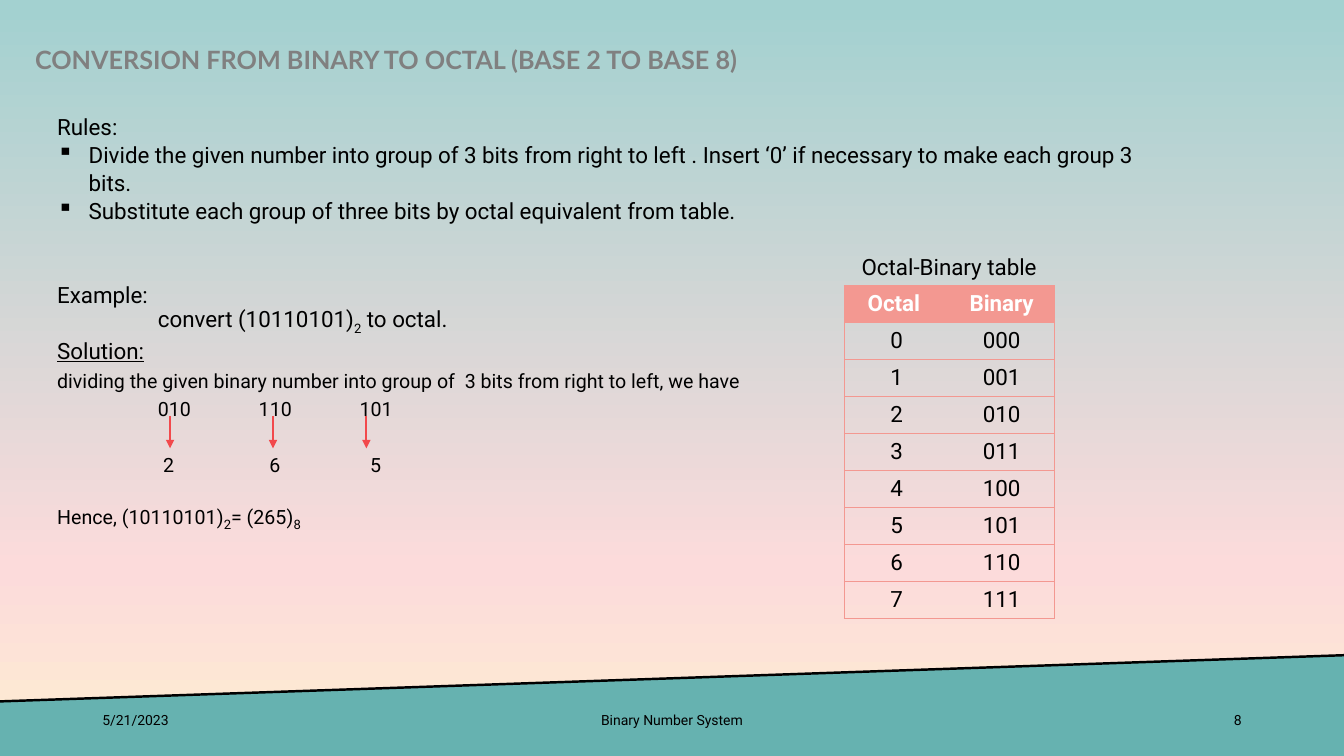
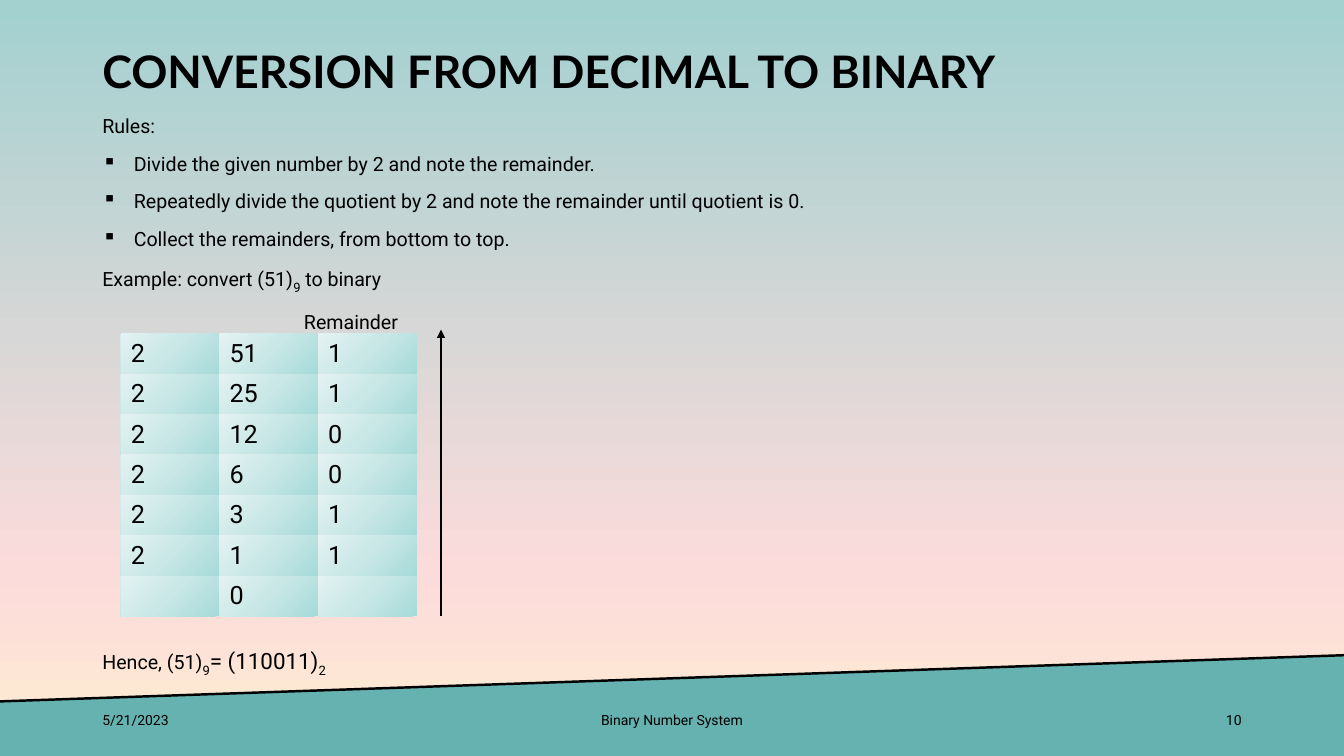
from pptx import Presentation
from pptx.dml.color import RGBColor
from pptx.enum.shapes import MSO_CONNECTOR
from pptx.enum.text import MSO_ANCHOR, PP_ALIGN
from pptx.oxml.ns import qn
from pptx.util import Pt
from lxml.etree import SubElement
from copy import deepcopy

PX = 9525  # EMU per px, 96 px to the inch
WIDTH, HEIGHT = 1280, 720

BLACK = RGBColor(0x00, 0x00, 0x00)
WHITE = RGBColor(0xFF, 0xFF, 0xFF)
GRAY = RGBColor(0x80, 0x80, 0x80)
TEAL = RGBColor(0x66, 0xB2, 0xB0)
RED = RGBColor(0xF2, 0x49, 0x4C)
CORAL = RGBColor(0xF3, 0x98, 0x91)
SKY = [(0.01, RGBColor(0xA3, 0xD1, 0xD0)),
       (0.75, RGBColor(0xFC, 0xDB, 0xDB)),
       (1, RGBColor(0xFE, 0xEE, 0xD1))]
MINT = [(0, RGBColor(0xA5, 0xDA, 0xD9)),
        (0.5, RGBColor(0xC8, 0xE7, 0xE6)),
        (1, RGBColor(0xE4, 0xF2, 0xF2))]

HEADING_FONT, BODY_FONT = "Lato", "Roboto"
INDENT = 30
NO_STYLE_TABLE = "{2D5ABB26-0587-4C30-8999-92F81FD0307C}"


def px(*lengths):
    return [length * PX for length in lengths]


def apply(target, values):
    for name, value in values.items():
        setattr(target, name, value)


def sub(digit):
    """A subscript run."""
    return digit, {"size": Pt(16), "baseline": -25000}


def fill_gradient(fill, stops, angle):
    fill.gradient()
    fill.gradient_angle = angle
    first = fill.gradient_stops[0]._gs
    for _ in stops[2:]:
        first.addnext(deepcopy(first))
    for stop, (position, color) in zip(fill.gradient_stops, stops):
        stop.position = position
        stop.color.rgb = color


def draw_borders(cell, sides, color):
    properties = cell._tc.get_or_add_tcPr()
    for side in sides:
        border = SubElement(properties, qn(f"a:ln{side}"), w=str(Pt(0.5)))
        solid = SubElement(border, qn("a:solidFill"))
        SubElement(solid, qn("a:srgbClr"), val=str(color))


class Deck:
    """Holds the shared style and the slide being built."""

    def __init__(self):
        self.presentation = Presentation()
        self.presentation.slide_width, self.presentation.slide_height = px(WIDTH, HEIGHT)
        self.slide = None

    def new_slide(self, number):
        self.slide = self.presentation.slides.add_slide(self.presentation.slide_layouts[6])
        fill_gradient(self.slide.background.fill, SKY, 270)
        self.band()
        footers = [(88, 288, "5/21/2023", PP_ALIGN.LEFT),
                   (424, 432, "Binary Number System", PP_ALIGN.CENTER),
                   (904, 288, str(number), PP_ALIGN.RIGHT)]
        for left, width, words, alignment in footers:
            self.label((left, 667, width, 38), [words], 10, alignment=alignment)

    def band(self):
        left_edge, right_edge = (0, 668), (WIDTH, 624)
        builder = self.slide.shapes.build_freeform(*px(*left_edge), scale=1.0)
        corners = [right_edge, (WIDTH, HEIGHT), (0, HEIGHT)]
        builder.add_line_segments([px(*corner) for corner in corners], close=True)
        band = builder.convert_to_shape()
        band.shadow.inherit = False
        band.fill.solid()
        band.fill.fore_color.rgb = TEAL
        band.line.fill.background()
        self.line(right_edge, left_edge, BLACK, 1.75)

    def line(self, start, end, color, weight, arrow=False):
        line = self.slide.shapes.add_connector(MSO_CONNECTOR.STRAIGHT, *px(*start, *end))
        line.line.color.rgb = color
        line.line.width = Pt(weight)
        if arrow:
            SubElement(line.line._get_or_add_ln(), qn("a:tailEnd"), type="triangle")
        SubElement(line._element.spPr, qn("a:effectLst"))

    def paragraph(self, paragraph, runs, font, bullet=False, tabs=(), **layout):
        """Fill a paragraph; a run is a string or a (string, font changes) pair."""
        apply(paragraph, layout)
        properties = paragraph._p.get_or_add_pPr()
        if bullet:
            properties.set("marL", str(INDENT * PX))
            properties.set("indent", str(-INDENT * PX))
            SubElement(properties, qn("a:buChar"), char="▪")
        if tabs:
            stops = SubElement(properties, qn("a:tabLst"))
            for tab in tabs:
                SubElement(stops, qn("a:tab"), pos=str(tab * PX), algn="l")
        for piece in runs:
            words, changes = (piece, {}) if isinstance(piece, str) else piece
            values = {"name": BODY_FONT, "color": BLACK, **font, **changes}
            color, baseline = values.pop("color"), values.pop("baseline", None)
            run = paragraph.add_run()
            run.text = words
            run.font.color.rgb = color
            apply(run.font, values)
            if baseline:
                run._r.get_or_add_rPr().set("baseline", str(baseline))

    def text(self, box, paragraphs, anchor=MSO_ANCHOR.TOP, **shared):
        """Add a text box; each paragraph is (runs, size, options)."""
        frame = self.slide.shapes.add_textbox(*px(*box)).text_frame
        apply(frame, {"word_wrap": True, "vertical_anchor": anchor})
        for index, (runs, size, options) in enumerate(paragraphs):
            paragraph = frame.add_paragraph() if index else frame.paragraphs[0]
            values = {**shared, **options}
            font = {"size": Pt(size), **values.pop("font", {})}
            self.paragraph(paragraph, runs, font, **values)

    def label(self, box, runs, size, **options):
        self.text(box, [(runs, size, options)], MSO_ANCHOR.MIDDLE)

    def title(self, box, words, size, color, line_spacing):
        font = {"name": HEADING_FONT, "bold": True, "color": color}
        self.label(box, [words], size, font=font, line_spacing=line_spacing)

    def table(self, corner, column_width, row_height, rows, size, style_cell,
              alignment=PP_ALIGN.LEFT):
        """Add a table; style_cell(cell, row, column) returns font changes."""
        shape = (len(rows), len(rows[0]))
        extent = (column_width * shape[1], row_height * shape[0])
        table = self.slide.shapes.add_table(*shape, *px(*corner, *extent)).table
        apply(table, {"first_row": False, "horz_banding": False})
        table._tbl.tblPr.find(qn("a:tableStyleId")).text = NO_STYLE_TABLE
        for row, entries in enumerate(rows):
            for column, entry in enumerate(entries):
                cell = table.cell(row, column)
                font = {"size": Pt(size), **style_cell(cell, row, column)}
                self.paragraph(cell.text_frame.paragraphs[0], [entry] if entry else [],
                               font, alignment=alignment)


def style_octal_cell(cell, row, column):
    draw_borders(cell, ("R" if column else "L") + "TB", CORAL)
    if row:
        cell.fill.background()
        return {}
    cell.fill.solid()
    cell.fill.fore_color.rgb = CORAL
    return {"bold": True, "color": WHITE}


def style_division_cell(cell, row, column):
    fill_gradient(cell.fill, MINT, 135)
    return {}


def binary_to_octal(deck):
    deck.new_slide(8)
    deck.title((24, 30, 768, 48), "CONVERSION FROM BINARY TO OCTAL (BASE 2 TO BASE 8)",
               18, GRAY, Pt(26))
    blank_line = Pt(20)
    deck.text((45, 102, 1082, 487), [
        (["Rules:"], 16, {}),
        (["Divide the given number into group of 3 bits from right to left . "
          "Insert ‘0’ if necessary to make each group 3 bits."], 16, {"bullet": True}),
        (["Substitute each group of three bits by octal equivalent from table."],
         16, {"bullet": True}),
        (["Example:"], 16, {"space_before": 2 * blank_line}),
        (["\tconvert (10110101)", sub("2"), " to octal."], 16, {"tabs": [96]}),
        (["Solution:"], 16, {"font": {"underline": True}}),
        (["dividing the given binary number into group of  3 bits from right to left, "
          "we have"], 14, {}),
        (["\t010\t110\t101"], 14, {"tabs": [96, 192, 288]}),
        (["\t2\t6\t5"], 14, {"tabs": [101, 202, 298], "space_before": blank_line}),
        (["Hence, (10110101)", sub("2"), "= (265)", sub("8")],
         14, {"space_before": blank_line}),
    ], line_spacing=Pt(20))
    deck.label((804, 240, 200, 28), ["Octal-Binary table"], 16, alignment=PP_ALIGN.CENTER)
    rows = [("Octal ", "Binary")] + [(str(digit), f"{digit:03b}") for digit in range(8)]
    deck.table((804, 272), 100, 34, rows, 16, style_octal_cell, PP_ALIGN.CENTER)
    for x in (162, 260, 349):
        deck.line((x, 396), (x, 427), RED, 1.5, arrow=True)


def decimal_to_binary(deck):
    deck.new_slide(10)
    deck.title((88, 38, 996, 65), "CONVERSION FROM DECIMAL TO BINARY", 32, BLACK, 0.9)
    rules = ["Divide the given number by 2 and note the remainder.",
             "Repeatedly divide the quotient by 2 and note the remainder until quotient is 0.",
             "Collect the remainders, from bottom to top."]
    deck.text((88, 104, 986, 184), [
        (["Rules:"], 14, {}),
        *[([rule], 14, {"bullet": True}) for rule in rules],
        (["Example: convert (51)", sub("9"), " to binary"], 14, {}),
    ], space_before=Pt(10))
    deck.label((280, 292, 115, 28), ["Remainder"], 14)
    rows = [("2", "51", "1"), ("2", "25", "1"), ("2", "12", "0"), ("2", "6", "0"),
            ("2", "3", "1"), ("2", "1", "1"), ("", "0", "")]
    deck.table((115, 318), 94, 38, rows, 18, style_division_cell)
    deck.line((420, 587), (420, 314), BLACK, 1.5, arrow=True)
    deck.label((88, 613, 400, 36), ["Hence, (51)", sub("9"),
                                    ("= (110011)", {"size": Pt(16)}), sub("2")], 14)


def main():
    deck = Deck()
    binary_to_octal(deck)
    decimal_to_binary(deck)
    deck.presentation.save("out.pptx")


if __name__ == "__main__":
    main()
